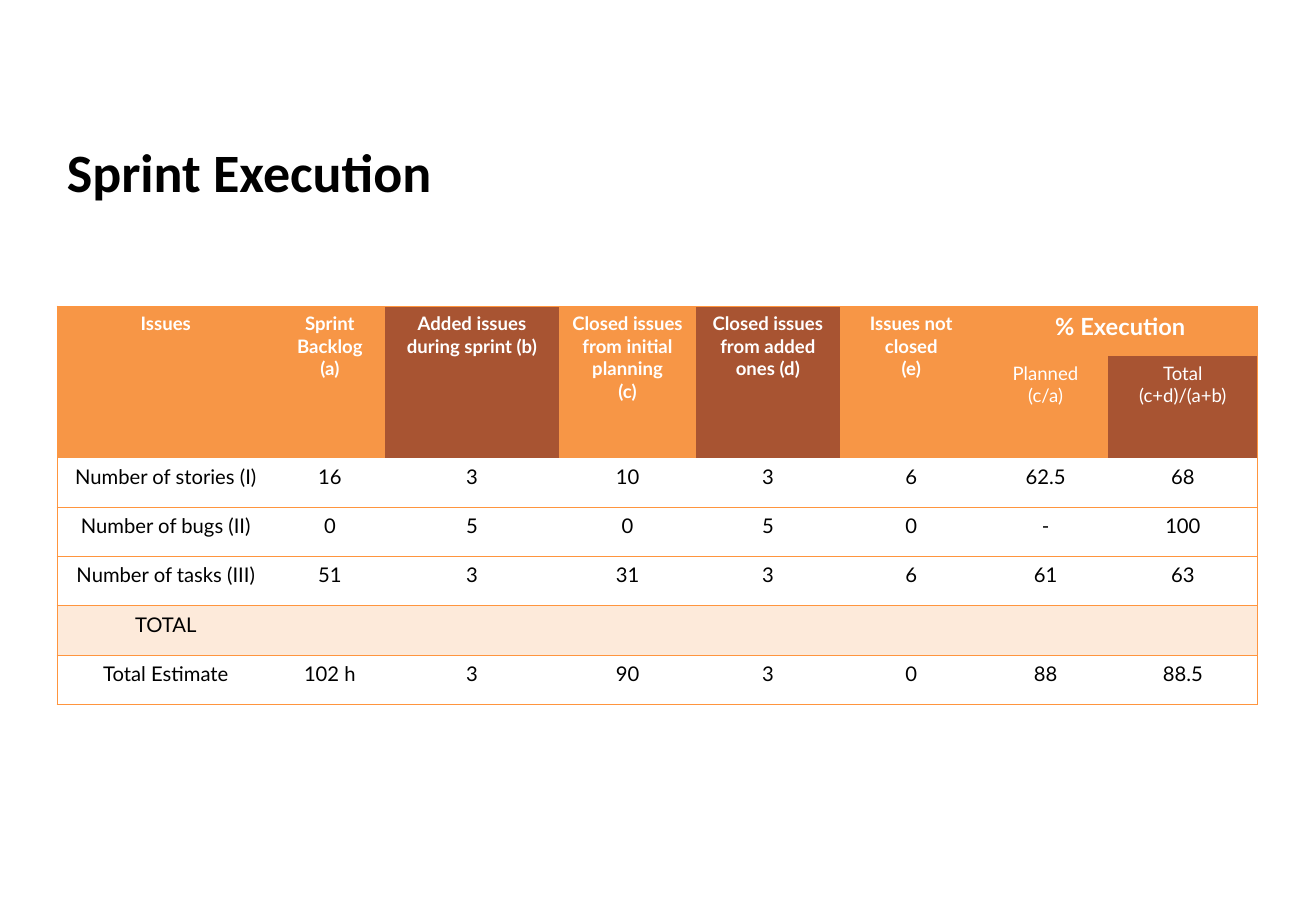
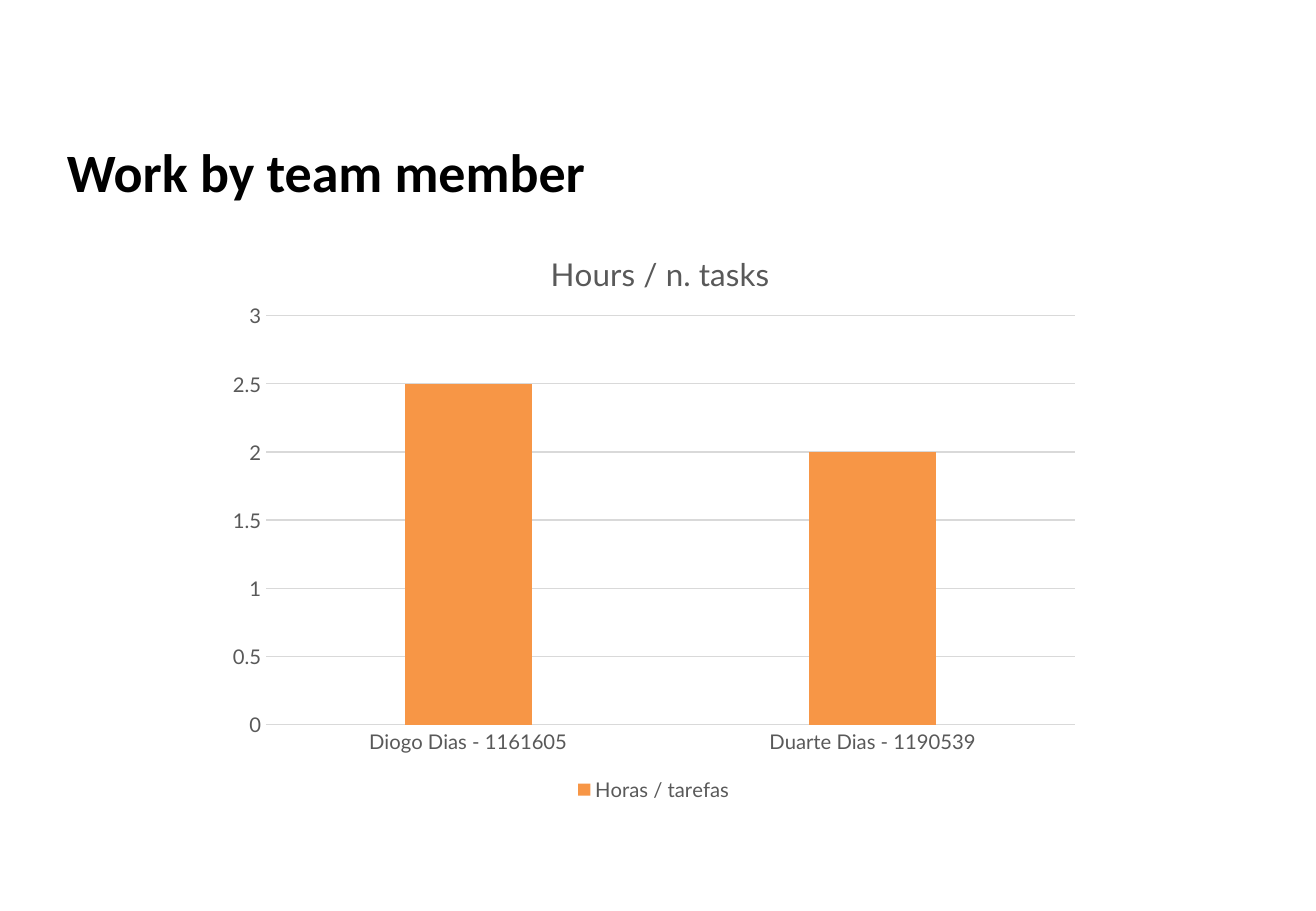
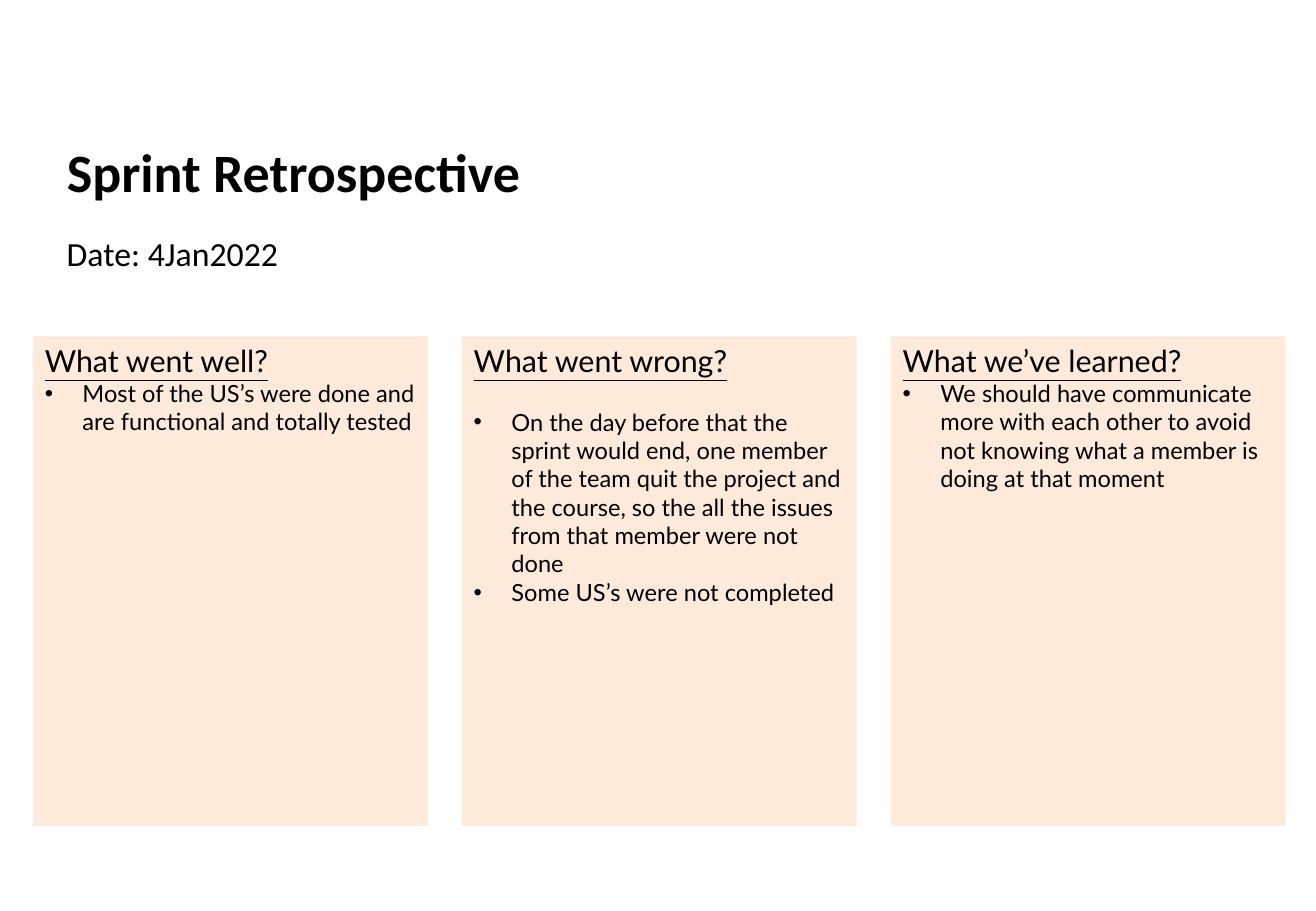
from dataclasses import dataclass

from lxml.etree import SubElement
from pptx import Presentation
from pptx.chart.data import CategoryChartData
from pptx.dml.color import RGBColor
from pptx.enum.chart import XL_CHART_TYPE, XL_LEGEND_POSITION, XL_TICK_MARK
from pptx.enum.shapes import MSO_SHAPE
from pptx.enum.text import MSO_ANCHOR, MSO_AUTO_SIZE, PP_ALIGN
from pptx.oxml.ns import qn
from pptx.util import Inches, Pt


@dataclass(frozen=True)
class Theme:
    orange: str = "F79646"
    brown: str = "A85432"
    peach: str = "FDEADA"
    border: str = "FF953E"
    black: str = "000000"
    white: str = "FFFFFF"
    gray: str = "595959"
    grid: str = "D9D9D9"
    title_font: str = "Calibri"
    body_font: str = "Lato"
    title: float = 32
    date: float = 20
    chart_title: float = 18.6
    heading: float = 18
    bullet: float = 14
    group: float = 14
    body: float = 12
    header: float = 11
    line: float = 0.75


T = Theme()
SLIDE_W, SLIDE_H = 10.83, 7.5
TITLE_BOX = (0.45, 1.09, 9.89, 0.63)

EXECUTION = {
    "title": "Sprint Execution",
    "box": (0.47, 2.52),
    "cols": [1.79, 0.91, 1.43, 1.13, 1.18, 1.18, 1.03, 1.23],
    "rows": [0.41, 0.83] + [0.406] * 5,
    "headers": [
        ["Issues"],
        ["Sprint Backlog", "(a)"],
        ["Added issues during sprint (b)"],
        ["Closed issues from initial planning", "(c)"],
        ["Closed issues from added ones (d)"],
        ["Issues not closed", "(e)"],
    ],
    "group": "% Execution",
    "subheaders": [["Planned", "(c/a)"], ["Total", "(c+d)/(a+b)"]],
    "brown_cols": {2, 4, 7},
    "body": [
        ["Number of stories (I)", "16", "3", "10", "3", "6", "62.5", "68"],
        ["Number of bugs (II)", "0", "5", "0", "5", "0", "-", "100"],
        ["Number of tasks (III)", "51", "3", "31", "3", "6", "61", "63"],
        ["TOTAL"] + [""] * 7,
        ["Total Estimate", "102 h", "3", "90", "3", "0", "88", "88.5"],
    ],
}

WORK = {
    "title": "Work by team member",
    "box": (1.77, 1.83, 7.22, 4.81),
    "chart_title": "Hours / n. tasks",
    "series": "Horas / tarefas",
    "hours": {"Diogo Dias - 1161605": 2.5, "Duarte Dias - 1190539": 2},
}

RETRO = {
    "title": "Sprint Retrospective",
    "date": "Date: 4Jan2022",
    "date_box": (0.45, 1.87, 9.89, 0.5),
    "first_card": (0.27, 2.77, 3.25, 4.03),
    "gap": 0.28,
    "cards": [
        ("What went well?", 0, [
            "Most of the US’s were done and are functional and totally tested",
        ]),
        ("What went wrong?", 17, [
            "On the day before that the sprint would end, one member of the team quit "
            "the project and the course, so the all the issues from that member were not done",
            "Some US’s were not completed",
        ]),
        ("What we’ve learned?", 0, [
            "We should have communicate more with each other to avoid not knowing "
            "what a member is doing at that moment",
        ]),
    ],
}


def rgb(color):
    return RGBColor.from_string(color)


def inches(box):
    return [Inches(v) for v in box]


def style(font, size, color, name=T.body_font, bold=False, underline=False):
    font.size = Pt(size)
    font.color.rgb = rgb(color)
    font.name = name
    font.bold = bold
    font.underline = underline


def write(tf, text, new=False, align=PP_ALIGN.LEFT, size=T.body, color=T.black, **fmt):
    p = tf.add_paragraph() if new else tf.paragraphs[0]
    p.alignment = align
    r = p.add_run()
    r.text = text
    style(r.font, size, color, **fmt)
    return p


def fill(obj, color):
    obj.fill.solid()
    obj.fill.fore_color.rgb = rgb(color)


def bullet(p, indent=0.31):
    pPr = p._p.get_or_add_pPr()
    pPr.set("marL", str(Inches(indent)))
    pPr.set("indent", str(-Inches(indent)))
    SubElement(pPr, qn("a:buFont")).set("typeface", "Arial")
    SubElement(pPr, qn("a:buChar")).set("char", "•")


def add_titled_slide(prs, title):
    slide = prs.slides.add_slide(prs.slide_layouts[5])
    sp = slide.shapes.title
    sp.left, sp.top, sp.width, sp.height = inches(TITLE_BOX)
    tf = sp.text_frame
    tf.auto_size = MSO_AUTO_SIZE.NONE
    tf.vertical_anchor = MSO_ANCHOR.MIDDLE
    write(tf, title, size=T.title, name=T.title_font, bold=True)
    return slide


def set_borders(cell, sides):
    tcPr = cell._tc.get_or_add_tcPr()
    for side in "LRTB":
        if side in sides:
            ln = SubElement(tcPr, qn(f"a:ln{side}"), w=str(Pt(T.line)))
            SubElement(SubElement(ln, qn("a:solidFill")), qn("a:srgbClr"), val=T.border)


def fill_cell(cell, lines, **fmt):
    for i, line in enumerate(lines):
        if line:
            write(cell.text_frame, line, new=i > 0, align=PP_ALIGN.CENTER, **fmt)


def add_execution(prs, data):
    slide = add_titled_slide(prs, data["title"])
    cols, rows = data["cols"], data["rows"]
    box = inches((*data["box"], sum(cols), sum(rows)))
    table = slide.shapes.add_table(len(rows), len(cols), *box).table
    table.first_row = table.horz_banding = False
    no_grid = "{2D5ABB26-0587-4C30-8999-92F81FD0307C}"
    table._tbl.tblPr.find(qn("a:tableStyleId")).text = no_grid
    for col, width in zip(table.columns, cols):
        col.width = Inches(width)
    for row, height in zip(table.rows, rows):
        row.height = Inches(height)

    split = len(data["headers"])
    last = len(cols) - 1
    for r in range(len(rows)):
        for c in range(len(cols)):
            cell = table.cell(r, c)
            sides = {"L": c == 0, "R": c == last, "T": r in (0, 3, 4, 5, 6), "B": r >= 2}
            set_borders(cell, [side for side, drawn in sides.items() if drawn])
            if r < 2:
                grouped = r == 0 and c >= split
                brown = c in data["brown_cols"] and not grouped
                fill(cell, T.brown if brown else T.orange)
            elif data["body"][r - 2][0] == "TOTAL":
                fill(cell, T.peach)
            else:
                cell.fill.background()

    for c, lines in enumerate(data["headers"]):
        table.cell(0, c).merge(table.cell(1, c))
        fill_cell(table.cell(0, c), lines, size=T.header, color=T.white, bold=True)
    table.cell(0, split).merge(table.cell(0, last))
    fill_cell(table.cell(0, split), [data["group"]], size=T.group, color=T.white, bold=True)
    for c, lines in enumerate(data["subheaders"], split):
        fill_cell(table.cell(1, c), lines, size=T.header, color=T.white)
    for r, values in enumerate(data["body"], 2):
        for c, value in enumerate(values):
            fill_cell(table.cell(r, c), [value])


def place(element, index, **shares):
    for old in element.findall(qn("c:layout")):
        element.remove(old)
    layout = element.makeelement(qn("c:layout"), {})
    element.insert(index, layout)
    manual = SubElement(layout, qn("c:manualLayout"))
    if "w" in shares:
        SubElement(manual, qn("c:layoutTarget"), val="inner")
    for axis in "xy":
        SubElement(manual, qn(f"c:{axis}Mode"), val="edge")
    for key, share in shares.items():
        SubElement(manual, qn(f"c:{key}"), val=str(share))


def add_work(prs, data):
    slide = add_titled_slide(prs, data["title"])
    cd = CategoryChartData()
    cd.categories = list(data["hours"])
    cd.add_series(data["series"], list(data["hours"].values()))
    kind = XL_CHART_TYPE.COLUMN_CLUSTERED
    chart = slide.shapes.add_chart(kind, *inches(data["box"]), cd).chart
    style(chart.font, T.body, T.gray)

    chart.has_title = True
    write(chart.chart_title.text_frame, data["chart_title"],
          align=PP_ALIGN.CENTER, size=T.chart_title, color=T.gray)
    chart.chart_title.include_in_layout = False
    place(chart.chart_title._element, 1, x=0.376, y=0.04)
    place(chart._chartSpace.chart.plotArea, 0, x=0.058, y=0.16, w=0.922, h=0.7)

    chart.has_legend = True
    chart.legend.position = XL_LEGEND_POSITION.BOTTOM
    chart.legend.include_in_layout = False
    style(chart.legend.font, T.body, T.gray)

    plot = chart.plots[0]
    plot.gap_width, plot.overlap, plot.vary_by_categories = 219, -27, False
    fill(plot.series[0].format, T.orange)
    value, category = chart.value_axis, chart.category_axis
    for axis in (value, category):
        axis.major_tick_mark = axis.minor_tick_mark = XL_TICK_MARK.NONE
        style(axis.tick_labels.font, T.body, T.gray)
    value.minimum_scale, value.maximum_scale, value.major_unit = 0, 3, 0.5
    value.format.line.fill.background()
    for line in (value.major_gridlines.format.line, category.format.line):
        line.color.rgb = rgb(T.grid)
        line.width = Pt(T.line)


def add_retro(prs, data):
    slide = add_titled_slide(prs, data["title"])
    tf = slide.shapes.add_textbox(*inches(data["date_box"])).text_frame
    tf.word_wrap = True
    write(tf, data["date"], size=T.date, name=T.title_font)

    left, top, width, height = data["first_card"]
    for i, (heading, space, points) in enumerate(data["cards"]):
        x = left + i * (width + data["gap"])
        sp = slide.shapes.add_shape(MSO_SHAPE.RECTANGLE, *inches((x, top, width, height)))
        sp.shadow.inherit = False
        fill(sp, T.peach)
        sp.line.fill.background()
        tf = sp.text_frame
        tf.word_wrap = True
        tf.vertical_anchor = MSO_ANCHOR.TOP
        write(tf, heading, size=T.heading, underline=True)
        for n, point in enumerate(points):
            p = write(tf, point, new=True, size=T.bullet)
            p.space_before = Pt(0 if n else space)
            bullet(p)


def main():
    prs = Presentation()
    prs.slide_width, prs.slide_height = inches((SLIDE_W, SLIDE_H))
    add_execution(prs, EXECUTION)
    add_work(prs, WORK)
    add_retro(prs, RETRO)
    prs.save("out.pptx")


if __name__ == "__main__":
    main()
